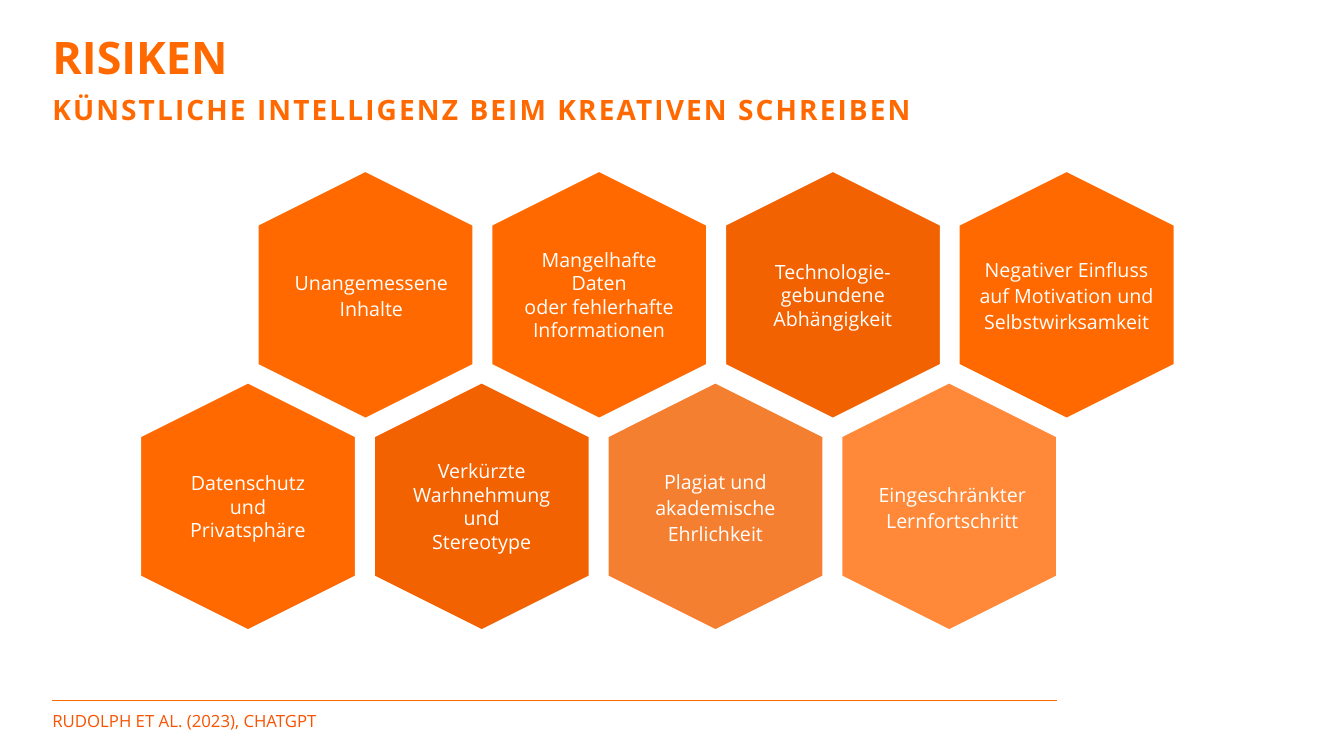
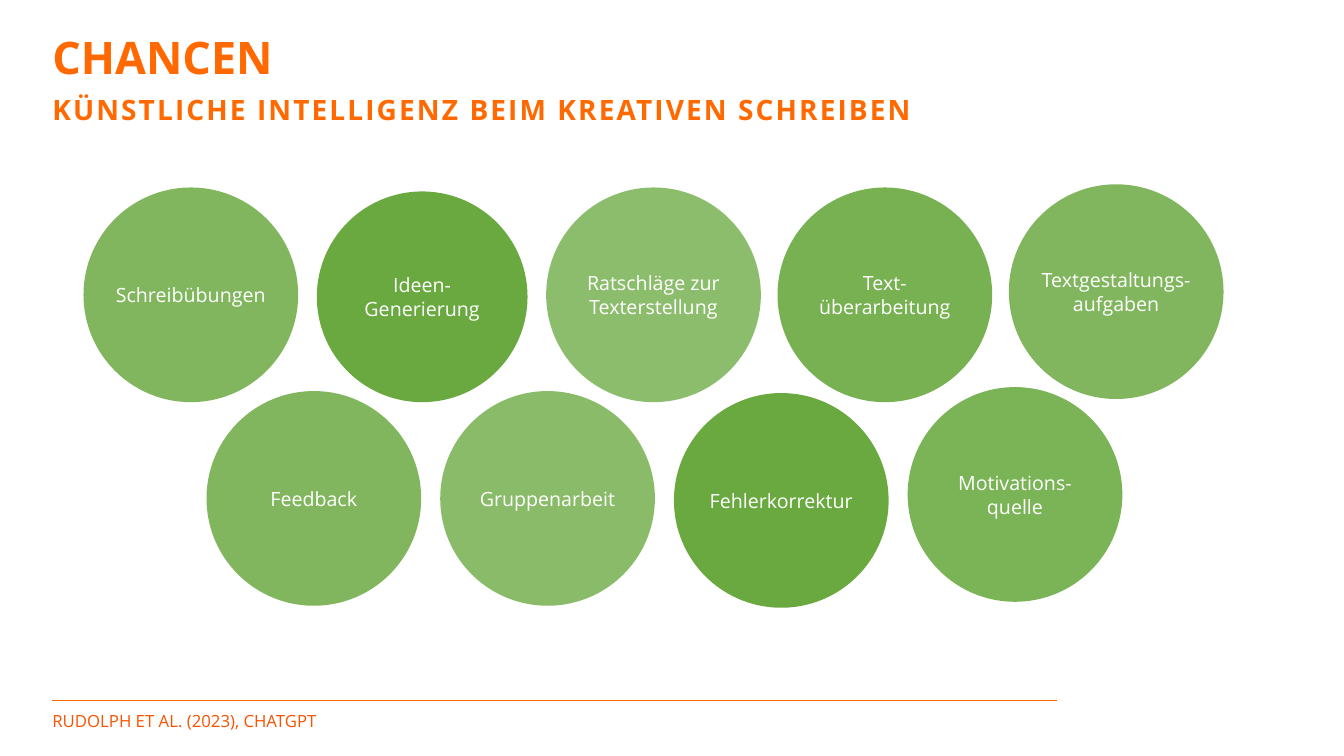
from dataclasses import dataclass

from lxml.etree import SubElement
from pptx import Presentation
from pptx.dml.color import RGBColor
from pptx.enum.shapes import MSO_CONNECTOR, MSO_SHAPE
from pptx.enum.text import MSO_ANCHOR, MSO_AUTO_SIZE, PP_ALIGN
from pptx.oxml.ns import qn
from pptx.util import Cm, Pt


@dataclass(frozen=True)
class Theme:
    font: str = "Open Sans"
    orange: str = "FF6900"
    dark_orange: str = "F36200"
    source_orange: str = "F85300"
    green: str = "69A940"
    white: str = "FFFFFF"
    title_size: float = 32
    subtitle_size: float = 20
    label_size: float = 14
    source_size: float = 12


@dataclass(frozen=True)
class Risk:
    label: str
    color: str
    text_width: float
    spacing: float = 1.0
    alpha: int = 100
    text_shift: float = 0


@dataclass(frozen=True)
class Chance:
    label: str
    alpha: int = 100
    rise: float = 0
    diameter: float = 5.41


@dataclass(frozen=True)
class Row:
    """Equally spaced items: first centre, pitch and centre height in cm."""
    x: float
    y: float
    pitch: float
    items: tuple


T = Theme()
MARGIN = 1.32
TEXT_WIDTH = 31.27
RULE_Y = 17.65
RULE_WIDTH = 25.32
SUBTITLE = "KÜNSTLICHE INTELLIGENZ BEIM KREATIVEN SCHREIBEN"
SOURCE = "RUDOLPH ET AL. (2023), CHATGPT"
HEX_LENGTH, HEX_WIDTH = 6.27, 5.46
HEX_TEXT_HEIGHT = 4.32

RISKS = (
    Row(9.21, 7.43, 5.89, (
        Risk("Unangemessene\nInhalte", T.orange, 4.24, 1.1, text_shift=0.15),
        Risk("Mangelhafte\nDaten\noder fehlerhafte\nInformationen", T.orange, 3.94),
        Risk("Technologie-gebundene Abhängigkeit", T.dark_orange, 3.5),
        Risk("Negativer Einfluss auf Motivation und Selbstwirksamkeit",
             T.orange, 4.6, 1.1),
    )),
    Row(6.25, 12.76, 5.89, (
        Risk("Datenschutz und Privatsphäre", T.orange, 3.76),
        Risk("Verkürzte Warhnehmung\nund Stereotype", T.dark_orange, 3.47),
        Risk("Plagiat und akademische Ehrlichkeit", T.dark_orange, 4.19, 1.1, 81),
        Risk("Eingeschränkter Lernfortschritt", T.orange, 4.14, 1.1, 78, 0.08),
    )),
)
CHANCES = (
    Row(4.81, 7.43, 5.83, (
        Chance("Schreibübungen", 84),
        Chance("Ideen-Generierung", rise=-0.05, diameter=5.31),
        Chance("Ratschläge zur Texterstellung", 76),
        Chance("Text-überarbeitung", 90),
        Chance("Textgestaltungs-aufgaben", 84, 0.08),
    )),
    Row(7.91, 12.56, 5.89, (
        Chance("Feedback", 84),
        Chance("Gruppenarbeit", 78),
        Chance("Fehlerkorrektur", rise=-0.05),
        Chance("Motivations-quelle", 88, 0.1),
    )),
)


def write(s, text: str, *, size: float, color: str, bold: bool = False,
          align=PP_ALIGN.LEFT, anchor=MSO_ANCHOR.TOP, spacing: float = 1.0,
          tracking: float = 0) -> None:
    """Fill a shape with text, one paragraph per line."""
    tf = s.text_frame
    tf.word_wrap = True
    tf.auto_size = MSO_AUTO_SIZE.NONE
    tf.vertical_anchor = anchor
    tf.margin_left = tf.margin_right = tf.margin_top = tf.margin_bottom = 0
    for i, line in enumerate(text.split("\n")):
        p = tf.add_paragraph() if i else tf.paragraphs[0]
        p.alignment = align
        p.line_spacing = spacing
        r = p.add_run()
        r.text = line
        r.font.name = T.font
        r.font.size = Pt(size)
        r.font.bold = bold
        r.font.color.rgb = RGBColor.from_string(color)
        if tracking:
            r._r.get_or_add_rPr().set("spc", str(round(tracking * 100)))


def write_label(s, text: str, spacing: float = 1.0) -> None:
    write(s, text, size=T.label_size, color=T.white, align=PP_ALIGN.CENTER,
          anchor=MSO_ANCHOR.MIDDLE, spacing=spacing)


def centered(x: float, y: float, w: float, h: float) -> tuple:
    """Left, top, width and height of a box around a centre given in cm."""
    return Cm(x - w / 2), Cm(y - h / 2), Cm(w), Cm(h)


def add_filled(shapes, kind, box: tuple, color: str, alpha: int):
    s = shapes.add_shape(kind, *box)
    s.shadow.inherit = False
    s.fill.solid()
    s.fill.fore_color.rgb = RGBColor.from_string(color)
    if alpha < 100:
        rgb = s._element.spPr.find(qn("a:solidFill"))[0]
        SubElement(rgb, qn("a:alpha")).set("val", str(alpha * 1000))
    s.line.fill.background()
    return s


def add_risk(slide, risk: Risk, x: float, y: float) -> None:
    group = slide.shapes.add_group_shape()
    s = add_filled(group.shapes, MSO_SHAPE.HEXAGON,
                   centered(x, y, HEX_LENGTH, HEX_WIDTH), risk.color, risk.alpha)
    s.adjustments[0] = 0.25
    s.rotation = 90
    s.line.color.rgb = RGBColor.from_string(T.white)
    s.line.width = Pt(2)
    box = group.shapes.add_textbox(
        *centered(x + risk.text_shift, y, risk.text_width, HEX_TEXT_HEIGHT))
    write_label(box, risk.label, risk.spacing)


def add_chance(slide, chance: Chance, x: float, y: float) -> None:
    box = centered(x, y - chance.rise, chance.diameter, chance.diameter)
    s = add_filled(slide.shapes, MSO_SHAPE.OVAL, box, T.green, chance.alpha)
    write_label(s, chance.label)


def add_slide(prs, title: str, rows: tuple, draw) -> None:
    """Add a slide with the shared frame and rows of items."""
    slide = prs.slides.add_slide(prs.slide_layouts[5])
    shapes = slide.shapes
    rule = shapes.add_connector(MSO_CONNECTOR.STRAIGHT, Cm(MARGIN), Cm(RULE_Y),
                                Cm(MARGIN + RULE_WIDTH), Cm(RULE_Y))
    rule.line.color.rgb = RGBColor.from_string(T.orange)
    rule.line.width = Pt(0.5)
    SubElement(rule._element.spPr, qn("a:effectLst"))

    s = shapes.title
    s.left, s.top, s.width, s.height = Cm(MARGIN), Cm(0.76), Cm(TEXT_WIDTH), Cm(2.51)
    write(s, title, size=T.title_size, color=T.orange, bold=True)
    subtitle = shapes.add_textbox(Cm(MARGIN), Cm(2.34), Cm(TEXT_WIDTH), Cm(1.47))
    write(subtitle, SUBTITLE, size=T.subtitle_size, color=T.orange, bold=True,
          tracking=1.5)
    source = shapes.add_textbox(Cm(MARGIN), Cm(RULE_Y), Cm(RULE_WIDTH), Cm(1.02))
    write(source, SOURCE, size=T.source_size, color=T.source_orange,
          anchor=MSO_ANCHOR.MIDDLE)

    for row in rows:
        for i, item in enumerate(row.items):
            draw(slide, item, row.x + i * row.pitch, row.y)


def main() -> None:
    prs = Presentation()
    prs.slide_width, prs.slide_height = Cm(33.87), Cm(19.05)
    add_slide(prs, "RISIKEN", RISKS, add_risk)
    add_slide(prs, "CHANCEN", CHANCES, add_chance)
    prs.save("out.pptx")


if __name__ == "__main__":
    main()
